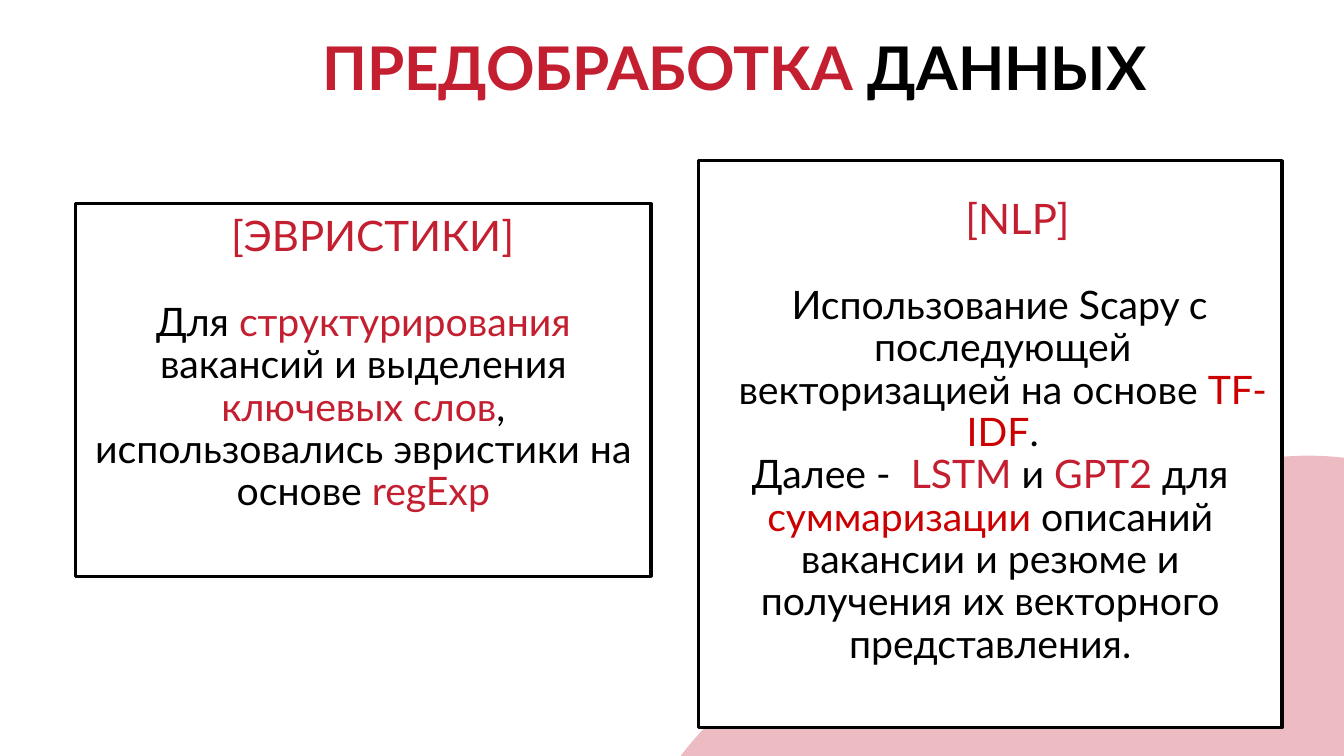
from pptx import Presentation
from pptx.dml.color import RGBColor
from pptx.enum.shapes import MSO_SHAPE as Shape
from pptx.enum.text import MSO_ANCHOR as Anchor, MSO_AUTO_SIZE as AutoSize, PP_ALIGN as Align
from pptx.util import Emu, Pt

PX = 9525
FONT = "Lato"
CRIMSON = RGBColor(0xC4, 0x1F, 0x30)
RED = RGBColor(0xCC, 0x00, 0x00)
PINK = RGBColor(0xED, 0xBC, 0xC2)
BLACK = RGBColor(0, 0, 0)
WHITE = RGBColor(255, 255, 255)
CIRCLE_SIZE = 588
INSET = 10
HANGING = -6


def px(*lengths):
    return [Emu(length * PX) for length in lengths]


def write_runs(paragraph, runs, size, bold=False, margin=0, indent=0):
    properties = paragraph._p.get_or_add_pPr()
    properties.set("marL", str(margin * PX))
    properties.set("indent", str(indent * PX))
    paragraph.alignment = Align.CENTER
    paragraph.line_spacing = 0.9
    for text, color in runs:
        run = paragraph.add_run()
        run.text = text
        run.font.name = FONT
        run.font.size = Pt(size)
        run.font.bold = bold
        run.font.color.rgb = color


def add_title(slide, runs):
    title = slide.shapes.title
    title.left, title.top, title.width, title.height = px(276, 32, 847, 121)
    frame = title.text_frame
    frame.word_wrap = True
    frame.auto_size = AutoSize.NONE
    frame.vertical_anchor = Anchor.TOP
    write_runs(frame.paragraphs[0], runs, 43, bold=True)


def add_circle(slide, left, top):
    circle = slide.shapes.add_shape(Shape.OVAL, *px(left, top, CIRCLE_SIZE, CIRCLE_SIZE))
    circle.shadow.inherit = False
    circle.fill.solid()
    circle.fill.fore_color.rgb = PINK
    circle.line.fill.background()


def add_card(slide, bounds, bottom_inset, heading, heading_margin, heading_indent, body):
    card = slide.shapes.add_shape(Shape.RECTANGLE, *px(*bounds))
    card.shadow.inherit = False
    card.fill.solid()
    card.fill.fore_color.rgb = WHITE
    card.line.color.rgb = BLACK
    card.line.width = Pt(2.25)
    frame = card.text_frame
    frame.word_wrap = True
    frame.vertical_anchor = Anchor.MIDDLE
    frame.margin_left, frame.margin_top, frame.margin_right, frame.margin_bottom = px(
        INSET, INSET, INSET, bottom_inset)
    first = frame.paragraphs[0]
    write_runs(first, [(heading, CRIMSON)], 30, margin=heading_margin, indent=heading_indent)
    first.space_after = Pt(30)
    for margin, indent, runs in body:
        write_runs(frame.add_paragraph(), runs, 28, margin=margin, indent=indent)


def main():
    presentation = Presentation()
    presentation.slide_width, presentation.slide_height = px(1280, 720)
    slide = presentation.slides.add_slide(presentation.slide_layouts[5])

    add_title(slide, [("ПРЕДОБРАБОТКА ", CRIMSON), ("ДАННЫХ", BLACK)])
    for left, top in [(952, 434), (762, 511), (589, 603)]:
        add_circle(slide, left, top)

    add_card(slide, (72, 194, 548, 355), 58, "[ЭВРИСТИКИ]", 24, HANGING, [
        (0, 0, [
            ("Для ", BLACK),
            ("структурирования ", CRIMSON),
            ("вакансий и выделения ", BLACK),
            ("ключевых слов", CRIMSON),
            (", использовались эвристики на основе ", BLACK),
            ("regExp", CRIMSON),
        ]),
    ])
    add_card(slide, (665, 153, 556, 540), 32, "[NLP]", 52, 0, [
        (24, HANGING, [
            ("Использование Scapy с последующей векторизацией на основе ", BLACK),
            ("TF-IDF", RED),
            (".", BLACK),
        ]),
        (0, 0, [
            ("Далее - ", BLACK),
            (" LSTM ", CRIMSON),
            ("и", BLACK),
            (" GPT2 ", CRIMSON),
            ("для ", BLACK),
            ("суммаризации ", RED),
            ("описаний вакансии и резюме и получения их векторного представления.", BLACK),
        ]),
    ])
    presentation.save("out.pptx")


if __name__ == "__main__":
    main()
